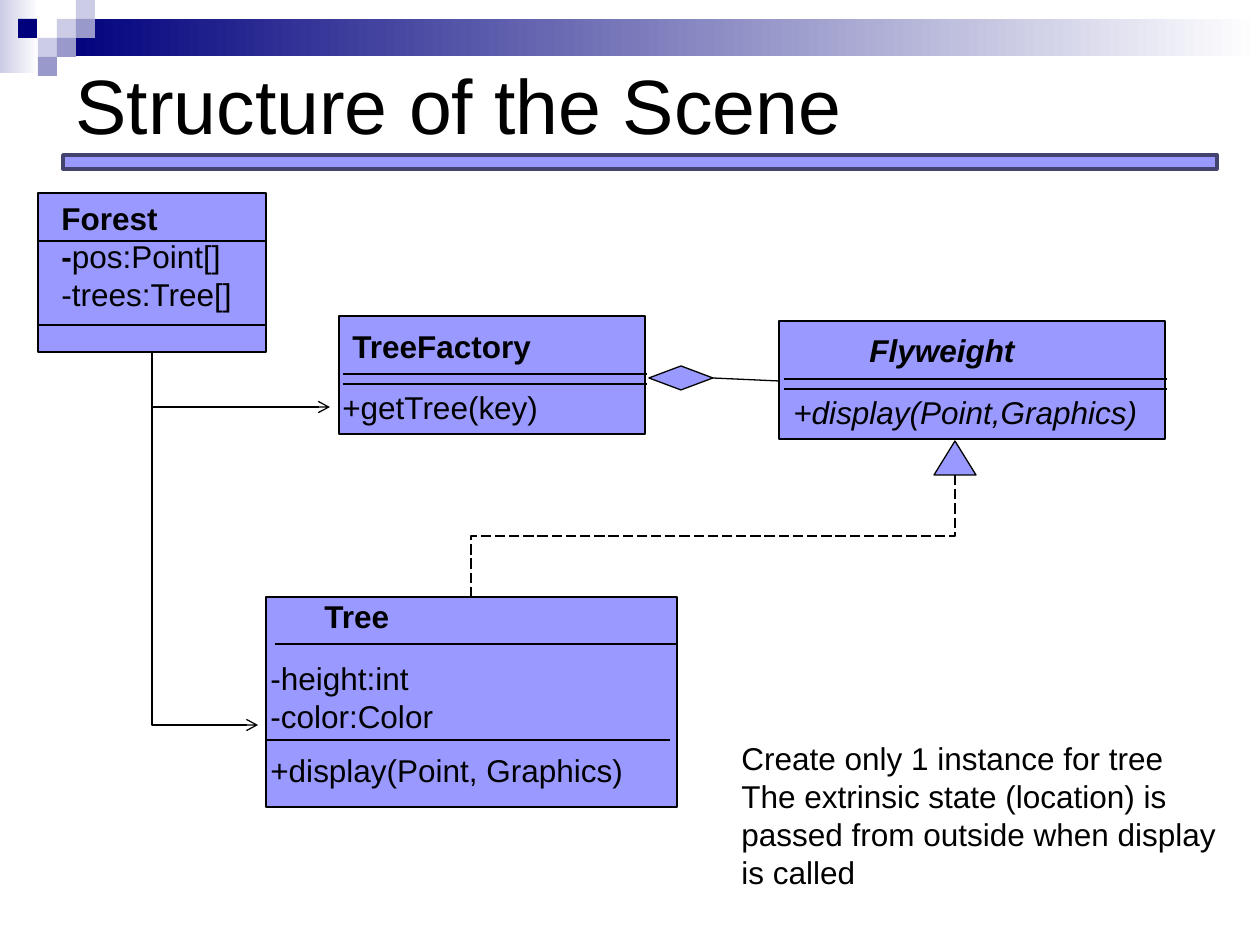
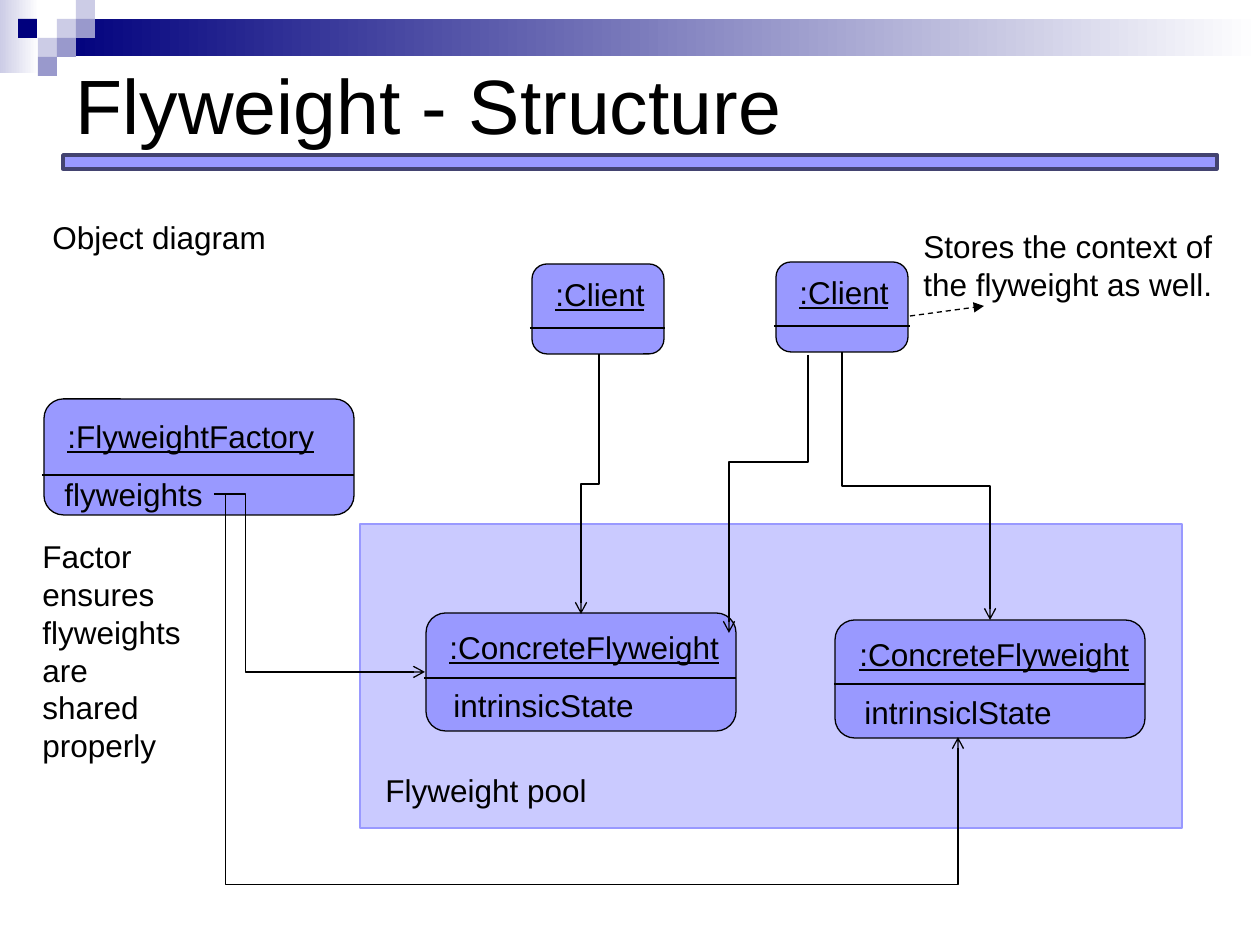
"""Build two slides on the Flyweight pattern: a class diagram and an object diagram."""
import pptx
import pptx.dml.color
import pptx.enum.dml
import pptx.enum.shapes
import pptx.enum.text
import pptx.oxml.ns
import pptx.util
import lxml.etree

PIXELS_PER_INCH = 126
FONT = "Arial"
BLACK, NAVY, WHITE = "000000", "00007D", "FFFFFF"
PERIWINKLE, POOL, PALE, MUTED, EDGE = "9999FF", "CACAFF", "CCCCE6", "9999CC", "434370"

qn = pptx.oxml.ns.qn
SHAPE = pptx.enum.shapes.MSO_SHAPE
CONNECTOR = pptx.enum.shapes.MSO_CONNECTOR
DASH = pptx.enum.dml.MSO_LINE.DASH
LONG_DASH = pptx.enum.dml.MSO_LINE.LONG_DASH


def px(length):
    return pptx.util.Emu(round(length * 914400 / PIXELS_PER_INCH))


def rgb(value):
    return pptx.dml.color.RGBColor.from_string(value)


deck = pptx.Presentation()
deck.slide_width, deck.slide_height = px(1260), px(945)
layout = deck.slide_layouts[5]
pages = [deck.slides.add_slide(layout) for _ in range(2)]

# left, top, width, height, fill colours, outline
SQUARE = 19
bands = [
    (0, 0, 39, 73, [PALE, WHITE], None),
    (57, 19, 1203, 37, [NAVY, WHITE], None),
    (63, 155, 1154, 14, [PERIWINKLE], EDGE),
]
for left, top, colour in [
    (57, 19, PALE), (76, 0, PALE), (76, 19, MUTED), (38, 38, PALE),
    (18, 19, NAVY), (57, 38, MUTED), (38, 57, MUTED),
]:
    bands.append((left, top, SQUARE, SQUARE, [colour], None))

for index, (left, top, width, height, colours, outline) in enumerate(bands):
    band = pages[0].shapes.add_shape(SHAPE.RECTANGLE, px(left), px(top), px(width), px(height))
    band.shadow.inherit = False
    if len(colours) == 2:
        band.fill.gradient()
        band.fill.gradient_angle = 0
        for stop, colour in zip(band.fill.gradient_stops, colours):
            stop.color.rgb = rgb(colour)
    else:
        band.fill.solid()
        band.fill.fore_color.rgb = rgb(colours[0])
    if outline:
        band.line.color.rgb = rgb(outline)
        band.line.width = pptx.util.Pt(2)
    else:
        band.line.fill.background()
    band.name = f"Band {index + 1}"
    band.element.find(".//" + qn("p:cNvPr")).set("id", str(100 + index))
    layout.shapes.element.insert(2 + index, band.element)

# boxes: preset, left, top, width, height, fill, outline
# links: preset, starts downwards, start, end, adjustments, dash, arrowhead
# texts: left, top, width, height, wraps, paragraphs of (style, text, plain ending)
class_diagram = {
    "title": "Structure of the Scene",
    "boxes": [
        (SHAPE.RECTANGLE, 38, 193, 228, 159, PERIWINKLE, BLACK),
        (SHAPE.RECTANGLE, 339, 316, 306, 118, PERIWINKLE, BLACK),
        (SHAPE.RECTANGLE, 779, 321, 386, 118, PERIWINKLE, BLACK),
        (SHAPE.RECTANGLE, 266, 597, 411, 210, PERIWINKLE, BLACK),
        (SHAPE.DIAMOND, 649, 366, 64, 24, PERIWINKLE, BLACK),
        (SHAPE.ISOSCELES_TRIANGLE, 934, 441, 42, 34, PERIWINKLE, BLACK),
    ],
    "dividers": [
        (38, 266, 241), (38, 266, 325), (343, 647, 374), (343, 647, 384),
        (784, 1167, 379), (784, 1167, 389), (275, 677, 644), (267, 670, 740),
    ],
    "links": [
        ("bentConnector2", True, (152, 352), (258, 725), [], None, "arrow"),
        ("bentConnector2", True, (152, 352), (330, 407), [], None, "arrow"),
        ("bentConnector3", True, (955, 475), (471, 597), [50000], LONG_DASH, None),
        ("line", False, (713, 378), (779, 381), [], None, None),
    ],
    "texts": [
        (49, 193, 200, 127, False,
         [("bold", "Forest"), ("bold", "-", "pos:Point[]"), ("", "-trees:Tree[]")]),
        (340, 321, 207, 50, False, [("bold", "TreeFactory")]),
        (330, 382, 225, 50, False, [("", "+getTree(key)")]),
        (857, 325, 183, 50, True, [("bold italic", "Flyweight")]),
        (781, 387, 375, 50, False, [("italic", "+display(Point,Graphics)")]),
        (312, 591, 93, 50, False, [("bold", "Tree")]),
        (258, 653, 442, 144, True,
         [("", "-height:int"), ("", "-color:Color"), ("gap", "+display(Point, Graphics)")]),
        (729, 733, 506, 165, False,
         [("", "Create only 1 instance for tree"), ("", "The extrinsic state (location) is"),
          ("", "passed from outside when display"), ("", "is called")]),
    ],
}

object_diagram = {
    "title": "Flyweight - Structure",
    "boxes": [
        (SHAPE.RECTANGLE, 360, 524, 822, 304, POOL, PERIWINKLE),
        (SHAPE.ROUNDED_RECTANGLE, 44, 399, 310, 116, PERIWINKLE, BLACK),
        (SHAPE.ROUNDED_RECTANGLE, 835, 620, 310, 118, PERIWINKLE, BLACK),
        (SHAPE.ROUNDED_RECTANGLE, 426, 613, 310, 118, PERIWINKLE, BLACK),
        (SHAPE.ROUNDED_RECTANGLE, 532, 264, 132, 90, PERIWINKLE, BLACK),
        (SHAPE.ROUNDED_RECTANGLE, 776, 262, 132, 90, PERIWINKLE, BLACK),
    ],
    "dividers": [
        (42, 354, 475), (834, 1145, 684), (424, 736, 678), (530, 665, 328), (774, 910, 326),
    ],
    "links": [
        ("bentConnector4", False, (214, 494), (958, 737), [1600, 160700], None, "arrow"),
        ("bentConnector3", False, (214, 494), (425, 672), [14900], None, "arrow"),
        ("bentConnector3", True, (599, 354), (581, 614), [50000], None, "arrow"),
        ("bentConnector3", True, (808, 355), (729, 633), [38500], None, "arrow"),
        ("bentConnector3", True, (842, 352), (990, 620), [50000], None, "arrow"),
        ("line", False, (910, 316), (984, 306), [], DASH, "triangle"),
    ],
    "texts": [
        (373, 765, 229, 50, False, [("", "Flyweight pool")]),
        (55, 411, 274, 50, False, [("underline", ":FlyweightFactory")]),
        (52, 469, 166, 50, False, [("", "flyweights")]),
        (847, 629, 297, 50, False, [("underline", ":ConcreteFlyweight")]),
        (852, 687, 215, 50, False, [("", "intrinsiclState")]),
        (437, 622, 297, 50, False, [("underline", ":ConcreteFlyweight")]),
        (441, 680, 215, 50, False, [("", "intrinsicState")]),
        (543, 269, 117, 50, False, [("underline", ":Client")]),
        (787, 267, 117, 50, False, [("underline", ":Client")]),
        (40, 212, 241, 50, False, [("", "Object diagram")]),
        (911, 221, 325, 88, False,
         [("", "Stores the context of"), ("", "the flyweight as well.")]),
        (30, 531, 164, 280, True, [("", "Factor ensures flyweights are shared properly")]),
    ],
}

for page, diagram in zip(pages, [class_diagram, object_diagram]):
    title = page.shapes.title
    title.left, title.top, title.width, title.height = px(63), px(9), px(1134), px(189)
    title.text_frame.text = diagram["title"]
    title.text_frame.auto_size = pptx.enum.text.MSO_AUTO_SIZE.NONE
    title.text_frame.vertical_anchor = pptx.enum.text.MSO_ANCHOR.MIDDLE
    heading = title.text_frame.paragraphs[0]
    heading.alignment = pptx.enum.text.PP_ALIGN.LEFT
    heading.font.name = FONT
    heading.font.size = pptx.util.Pt(44)
    heading.font.color.rgb = rgb(BLACK)

    for preset, left, top, width, height, fill, outline in diagram["boxes"]:
        box = page.shapes.add_shape(preset, px(left), px(top), px(width), px(height))
        box.shadow.inherit = False
        box.fill.solid()
        box.fill.fore_color.rgb = rgb(fill)
        box.line.color.rgb = rgb(outline)
        box.line.width = pptx.util.Pt(0.75)

    dividers = [
        ("line", False, (start, y), (end, y), [], None, None)
        for start, end, y in diagram["dividers"]
    ]
    for preset, downwards, start, end, adjustments, dash, arrowhead in dividers + diagram["links"]:
        (x1, y1), (x2, y2) = start, end
        if downwards:
            run_length, offset = abs(y2 - y1), abs(x2 - x1)
            x1, y1 = (x1 + x2 - run_length) / 2, (y1 + y2 - offset) / 2
            x2, y2 = x1 + run_length, y1 + offset
        kind = CONNECTOR.STRAIGHT if preset == "line" else CONNECTOR.ELBOW
        link = page.shapes.add_connector(kind, px(x1), px(y1), px(x2), px(y2))
        link.line.color.rgb = rgb(BLACK)
        link.line.width = pptx.util.Pt(0.75)
        if dash:
            link.line.dash_style = dash
        properties = link.element.find(qn("p:spPr"))
        if downwards:
            frame = properties.find(qn("a:xfrm"))
            leftwards = end[0] < start[0]
            frame.set("rot", str((90 if leftwards else 270) * 60000))
            if not leftwards:
                frame.set("flipH", "1")
        geometry = properties.find(qn("a:prstGeom"))
        geometry.set("prst", preset)
        for number, value in enumerate(adjustments, 1):
            guide = lxml.etree.SubElement(geometry.find(qn("a:avLst")), qn("a:gd"))
            guide.set("name", f"adj{number}")
            guide.set("fmla", f"val {value}")
        if arrowhead:
            tail = lxml.etree.SubElement(properties.find(qn("a:ln")), qn("a:tailEnd"))
            tail.set("type", arrowhead)
        lxml.etree.SubElement(properties, qn("a:effectLst"))

    for left, top, width, height, wraps, paragraphs in diagram["texts"]:
        box = page.shapes.add_textbox(px(left), px(top), px(width), px(height))
        box.text_frame.word_wrap = wraps
        box.text_frame.auto_size = pptx.enum.text.MSO_AUTO_SIZE.SHAPE_TO_FIT_TEXT
        for index, (style, text, *endings) in enumerate(paragraphs):
            para = box.text_frame.add_paragraph() if index else box.text_frame.paragraphs[0]
            para.font.name = FONT
            para.font.size = pptx.util.Pt(18)
            para.font.color.rgb = rgb(BLACK)
            para.font.bold = "bold" in style
            para.font.italic = "italic" in style
            para.font.underline = "underline" in style
            if "gap" in style:
                para.space_before = pptx.util.Pt(9)
            para.add_run().text = text
            for ending in endings:
                span = para.add_run()
                span.text = ending
                span.font.bold = False

deck.save("out.pptx")
